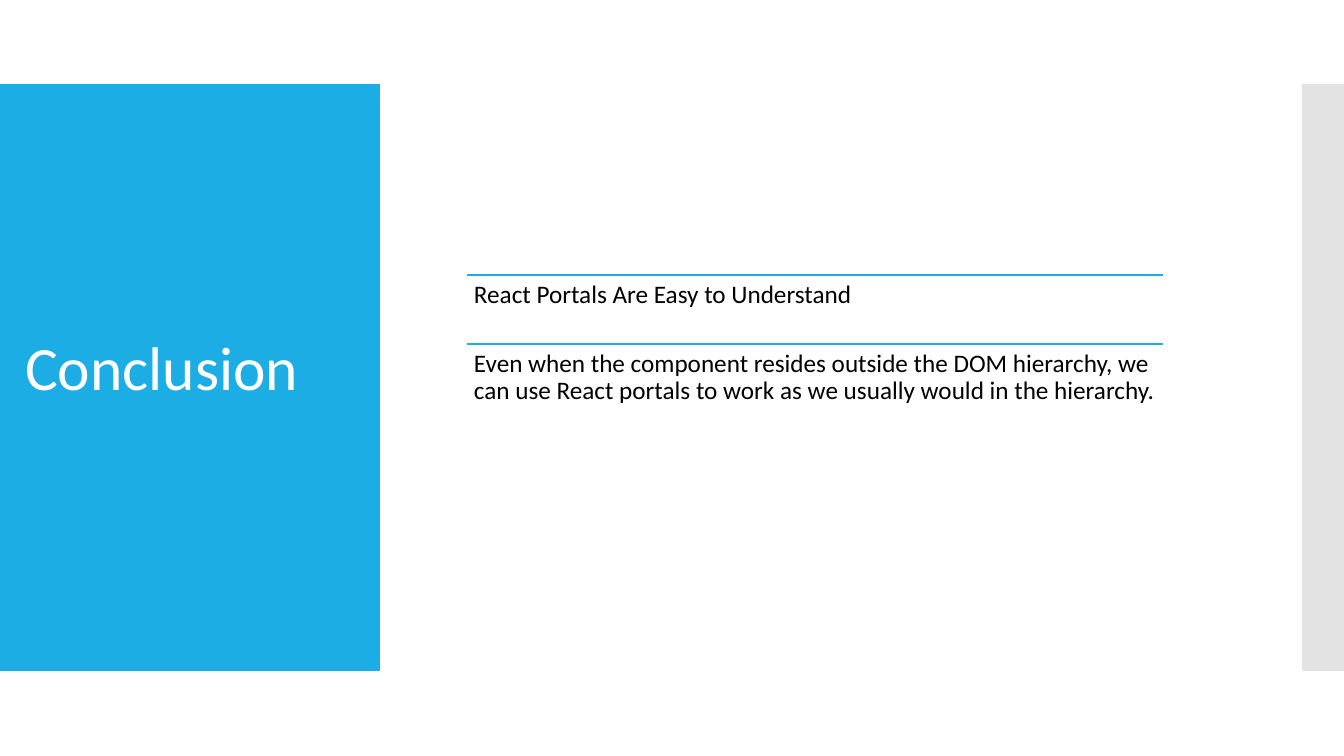
import pptx
import pptx.dml.color
import pptx.enum.shapes
import pptx.enum.text
import pptx.oxml.ns
import pptx.util
from lxml import etree

RGB = pptx.dml.color.RGBColor
BLUE = RGB(0x1C, 0xAD, 0xE4)
GREY = RGB(0xC8, 0xC8, 0xC8)
WHITE = RGB(255, 255, 255)
BLACK = RGB(0, 0, 0)
FONT = "Calibri"
SCALE = 914400 / 100.8
LEFT, WIDTH, INSET = 467, 696, 7
POINTS = [
    (275, 69, "React Portals Are Easy to Understand"),
    (344, 137, "Even when the component resides outside the DOM hierarchy, "
               "we can use React portals to work as we usually would in the hierarchy."),
]


def px(num):
    return pptx.util.Emu(round(num * SCALE))


def add_run(para, text, size, color):
    run = para.add_run()
    run.text = text
    run.font.name = FONT
    run.font.size = pptx.util.Pt(size)
    run.font.color.rgb = color


def add_band(slide, left, width, color, alpha=100):
    band = slide.shapes.add_shape(
        pptx.enum.shapes.MSO_SHAPE.RECTANGLE, px(left), px(84), px(width), px(587))
    band.shadow.inherit = False
    band.fill.solid()
    band.fill.fore_color.rgb = color
    band.line.fill.background()
    if alpha < 100:
        tint = band.element.spPr.find(".//" + pptx.oxml.ns.qn("a:srgbClr"))
        etree.SubElement(tint, pptx.oxml.ns.qn("a:alpha"), val=str(alpha * 1000))


def set_title(slide, text):
    title = slide.shapes.title
    title.left, title.top, title.width, title.height = map(px, (15, 323, 323, 85))
    title.element.getparent().append(title.element)
    frame = title.text_frame
    frame.word_wrap = True
    frame.auto_size = pptx.enum.text.MSO_AUTO_SIZE.NONE
    frame.vertical_anchor = pptx.enum.text.MSO_ANCHOR.MIDDLE
    para = frame.paragraphs[0]
    para.alignment = pptx.enum.text.PP_ALIGN.LEFT
    add_run(para, text, 44, WHITE)


def add_rule(slide, top):
    rule = slide.shapes.add_connector(
        pptx.enum.shapes.MSO_CONNECTOR.STRAIGHT,
        px(LEFT), px(top), px(LEFT + WIDTH), px(top))
    rule.line.color.rgb = BLUE
    rule.line.width = pptx.util.Pt(0.85)
    etree.SubElement(rule.element.spPr, pptx.oxml.ns.qn("a:effectLst"))


def add_point(slide, top, height, text):
    add_rule(slide, top)
    box = slide.shapes.add_textbox(px(LEFT), px(top), px(WIDTH), px(height))
    frame = box.text_frame
    frame.word_wrap = True
    frame.margin_left = frame.margin_right = px(INSET)
    frame.margin_top = frame.margin_bottom = px(INSET)
    para = frame.paragraphs[0]
    para.line_spacing = 0.9
    add_run(para, text, 18, BLACK)


def main():
    deck = pptx.Presentation()
    deck.slide_width, deck.slide_height = px(1344), px(756)
    slide = deck.slides.add_slide(deck.slide_layouts.get_by_name("Title Only"))
    add_band(slide, 0, 380, BLUE)
    add_band(slide, 1302, 42, GREY, 50)
    set_title(slide, "Conclusion")
    for top, height, text in POINTS:
        add_point(slide, top, height, text)
    deck.save("out.pptx")


main()
